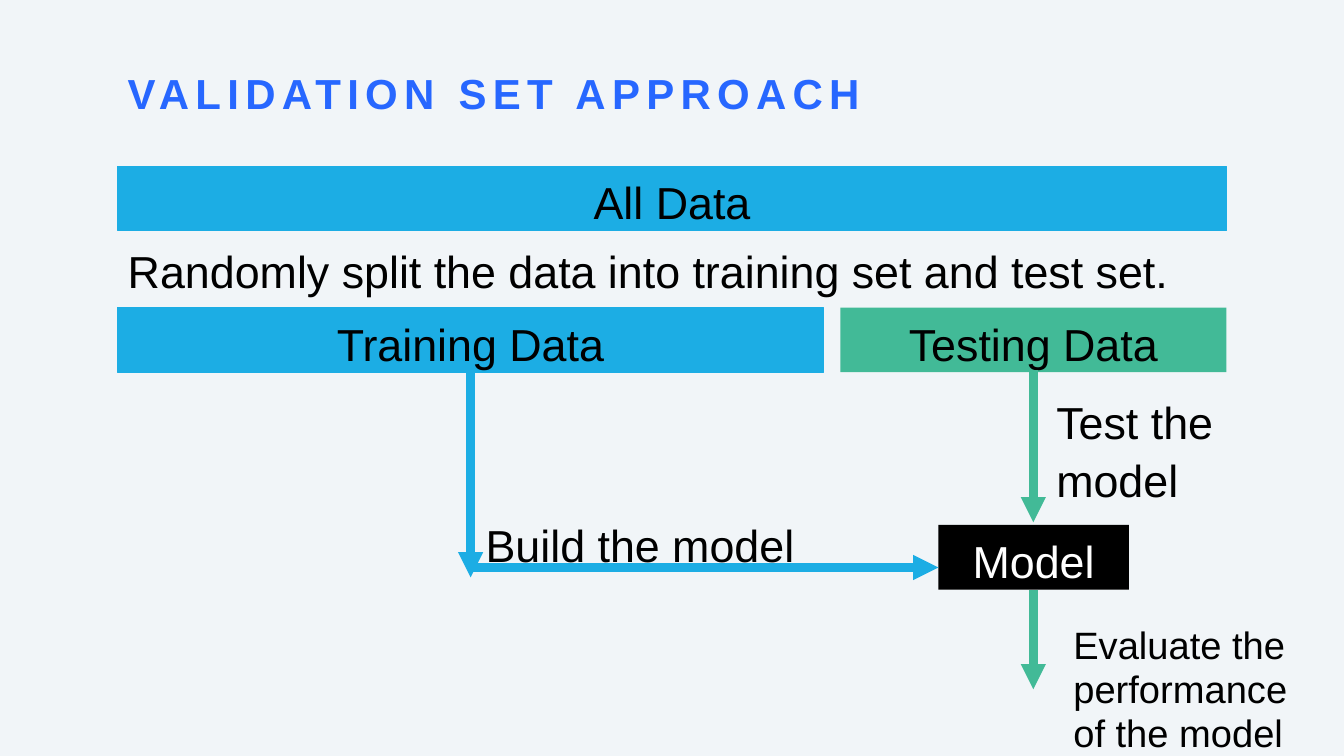
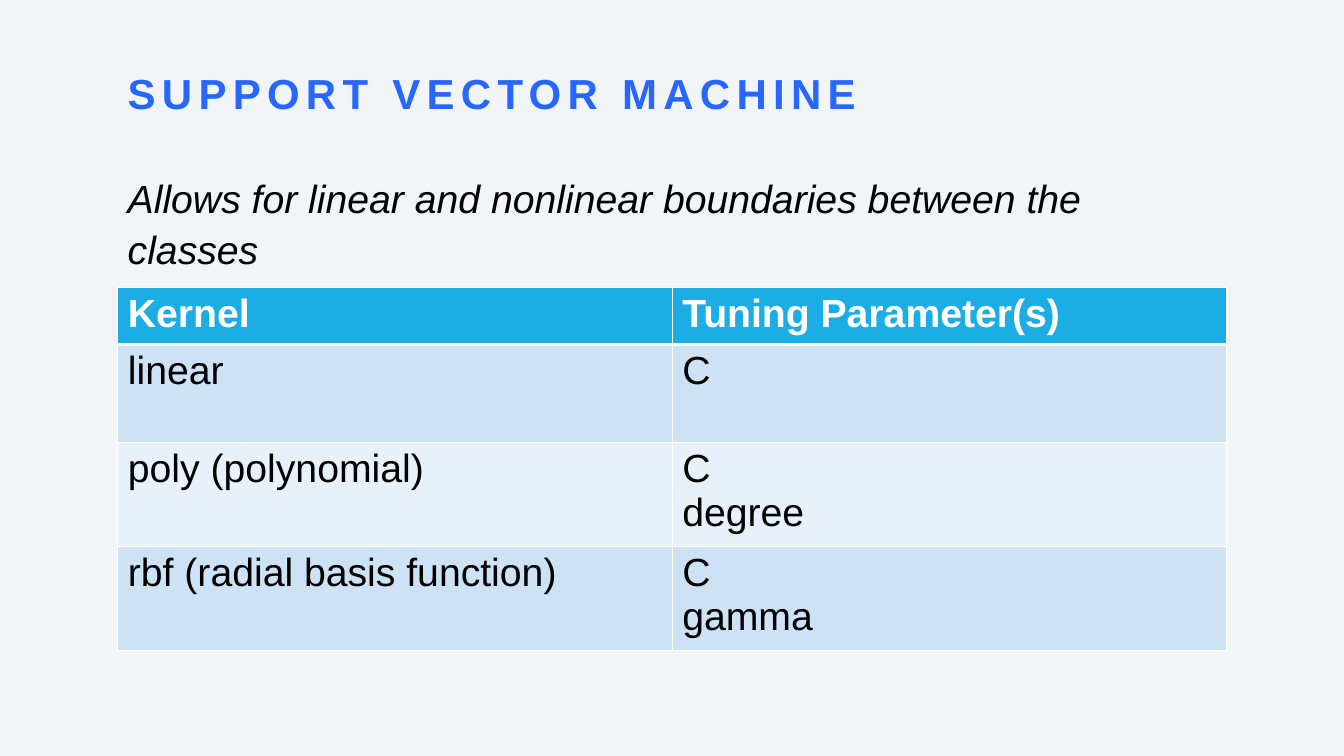
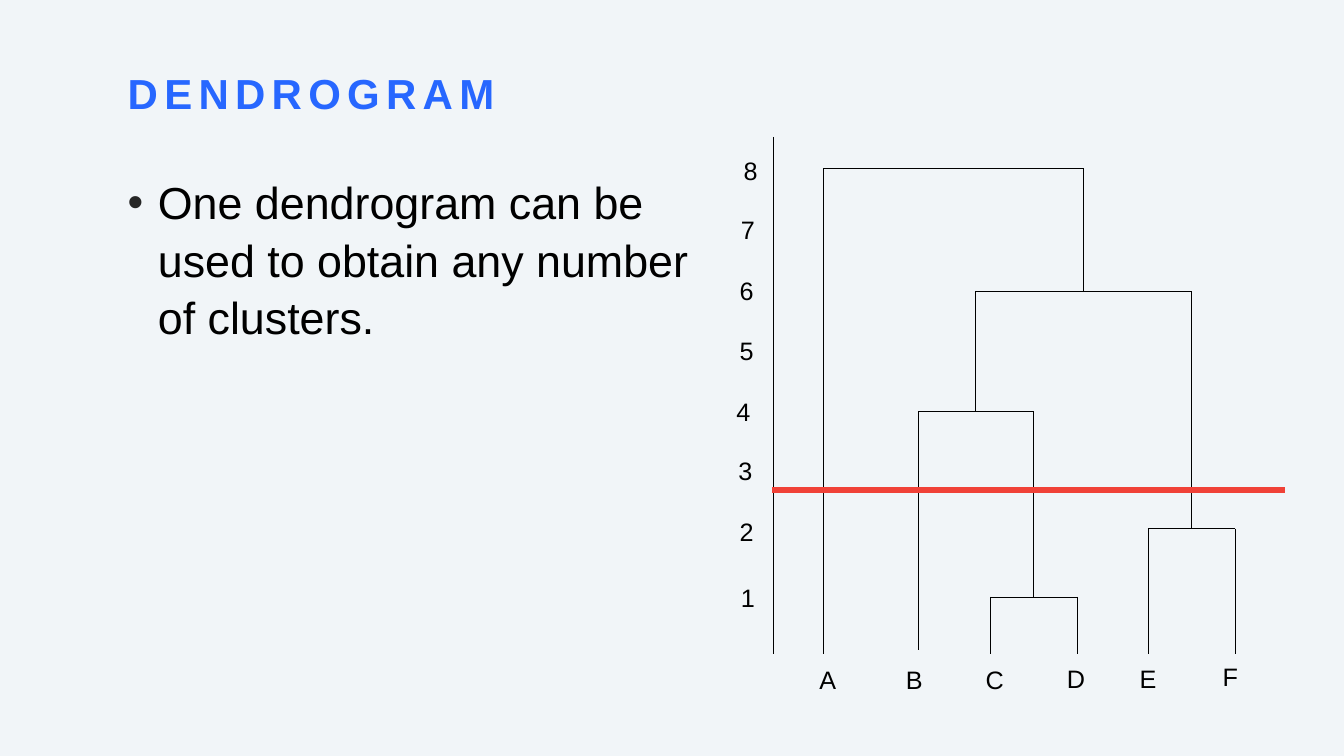
from lxml import etree
from pptx import Presentation
from pptx.dml.color import RGBColor
from pptx.enum.shapes import MSO_CONNECTOR, MSO_SHAPE
from pptx.enum.text import MSO_ANCHOR, PP_ALIGN
from pptx.oxml.ns import qn
from pptx.util import Cm, Pt

STRAIGHT = MSO_CONNECTOR.STRAIGHT
RECTANGLE = MSO_SHAPE.RECTANGLE
TOP, MIDDLE = MSO_ANCHOR.TOP, MSO_ANCHOR.MIDDLE
LEFT, CENTER = PP_ALIGN.LEFT, PP_ALIGN.CENTER

BACKGROUND, TITLE = "F1F5F8", "2767FF"
BLUE, GREEN, RED = "1CADE4", "42BA97", "F04137"
BLACK, WHITE, BULLET = "000000", "FFFFFF", "262626"
BAND_DARK, BAND_LIGHT = "CDE3F5", "E8F1FA"

MARGIN, CONTENT_WIDTH, CONTENT_TOP = 2.97, 27.94, 4.19
BOX_HEIGHT = 1.63


def color(value):
    return RGBColor.from_string(value)


def child(parent, tag, **attributes):
    return etree.SubElement(parent, qn(tag), **attributes)


class Deck:
    font = "Arial"
    line_spacing = 1.07
    tight_spacing = 0.96

    def __init__(self):
        self.presentation = Presentation()
        self.presentation.slide_width = Cm(33.87)
        self.presentation.slide_height = Cm(19.05)
        self.slide = None

    def new_slide(self, title):
        self.slide = self.presentation.slides.add_slide(self.presentation.slide_layouts[6])
        fill = self.slide.background.fill
        fill.solid()
        fill.fore_color.rgb = color(BACKGROUND)
        paragraph = self.text(title, MARGIN, 1.78, 25.1, 1.24, size=30, ink=TITLE, bold=True,
                              spacing=self.tight_spacing, anchor=MIDDLE)
        paragraph.runs[0].font._element.set("spc", "450")

    def run(self, paragraph, text, size, ink, bold=False, italic=False):
        run = paragraph.add_run()
        run.text = text
        run.font.name = self.font
        run.font.size = Pt(size)
        run.font.bold = bold
        run.font.italic = italic
        run.font.color.rgb = color(ink)

    def text(self, text, left, top, width, height, size=32, ink=BLACK, bold=False,
             italic=False, spacing=line_spacing, before=0, anchor=TOP):
        shape = self.slide.shapes.add_textbox(Cm(left), Cm(top), Cm(width), Cm(height))
        frame = shape.text_frame
        frame.word_wrap = True
        frame.vertical_anchor = anchor
        paragraph = frame.paragraphs[0]
        paragraph.alignment = LEFT
        paragraph.line_spacing = spacing
        paragraph.space_before = Pt(before)
        self.run(paragraph, text, size, ink, bold, italic)
        return paragraph

    def bullet(self, text, left, top, width, height):
        paragraph = self.text(text, left, top, width, height, before=10)
        properties = paragraph._p.get_or_add_pPr()
        indent = Cm(0.76)
        properties.set("marL", str(indent))
        properties.set("indent", str(-indent))
        child(child(properties, "a:buClr"), "a:srgbClr", val=BULLET)
        child(properties, "a:buFont", typeface=self.font)
        child(properties, "a:buChar", char="•")

    def box(self, text, left, top, width, fill, ink=BLACK, outlined=False):
        shape = self.slide.shapes.add_shape(RECTANGLE, Cm(left), Cm(top), Cm(width), Cm(BOX_HEIGHT))
        shape.shadow.inherit = False
        shape.fill.solid()
        shape.fill.fore_color.rgb = color(fill)
        if outlined:
            shape.line.color.rgb = color(fill)
            shape.line.width = Pt(0.75)
        else:
            shape.line.fill.background()
        frame = shape.text_frame
        frame.word_wrap = True
        frame.vertical_anchor = TOP
        paragraph = frame.paragraphs[0]
        paragraph.alignment = CENTER
        paragraph.line_spacing = self.line_spacing
        self.run(paragraph, text, 32, ink)

    def line(self, x1, y1, x2, y2, ink=BLACK, width=0.5, arrow=False):
        connector = self.slide.shapes.add_connector(STRAIGHT, Cm(x1), Cm(y1), Cm(x2), Cm(y2))
        connector.line.color.rgb = color(ink)
        connector.line.width = Pt(width)
        if arrow:
            child(connector.line._get_or_add_ln(), "a:tailEnd", type="triangle")
        child(connector._element.spPr, "a:effectLst")

    def arrow(self, x1, y1, x2, y2, ink):
        self.line(x1, y1, x2, y2, ink, width=6, arrow=True)

    def border(self, cell, side, width):
        line = child(cell._tc.get_or_add_tcPr(), f"a:ln{side}", w=str(Pt(width)))
        child(child(line, "a:solidFill"), "a:srgbClr", val=WHITE)

    def table(self, rows, left, top, width, heights):
        table = self.slide.shapes.add_table(len(rows), len(rows[0]), Cm(left), Cm(top),
                                            Cm(width), Cm(sum(heights))).table
        for column in table.columns:
            column.width = Cm(width / len(rows[0]))
        for row_index, (values, height) in enumerate(zip(rows, heights)):
            table.rows[row_index].height = Cm(height)
            header = row_index == 0
            band = BLUE if header else (BAND_LIGHT, BAND_DARK)[row_index % 2]
            for column_index, lines in enumerate(values):
                cell = table.cell(row_index, column_index)
                for side in "LRTB":
                    below_header = (row_index, side) in ((0, "B"), (1, "T"))
                    self.border(cell, side, 3 if below_header else 1)
                cell.fill.solid()
                cell.fill.fore_color.rgb = color(band)
                frame = cell.text_frame
                for index, text in enumerate(lines):
                    paragraph = frame.add_paragraph() if index else frame.paragraphs[0]
                    self.run(paragraph, text, 28, WHITE if header else BLACK, bold=header)

    def merge(self, left, right, top, left_bottom, right_bottom):
        self.line(left, top, right, top)
        self.line(left, top, left, left_bottom)
        self.line(right, top, right, right_bottom)


def validation_slide(deck):
    deck.new_slide("VALIDATION SET APPROACH")
    split_top, model_top = 7.75, 13.23
    training_x, testing_x, build_y = 11.86, 26.04, 14.3
    deck.text("Build the model", 11.99, 12.83, 9.09, 1.73, before=10)
    deck.box("All Data", MARGIN, CONTENT_TOP, CONTENT_WIDTH, BLUE, outlined=True)
    deck.box("Training Data", MARGIN, split_top, 17.78, BLUE, outlined=True)
    deck.box("Testing Data", 21.18, split_top, 9.73, GREEN)
    deck.arrow(training_x, 9.37, training_x, 14.55, BLUE)
    deck.box("Model", 23.65, model_top, 4.8, BLACK, ink=WHITE)
    deck.arrow(training_x, build_y, 23.65, build_y, BLUE)
    deck.text("Test the model", 26.37, 9.73, 6.05, 4.88, before=10)
    deck.arrow(testing_x, 9.32, testing_x, 13.16, GREEN)
    deck.arrow(testing_x, model_top + BOX_HEIGHT, testing_x, 17.37, GREEN)
    deck.text("Evaluate the performance of the model", 26.8, 15.62, 6.05, 4.14,
              size=27.2, spacing=deck.tight_spacing, before=10)
    deck.text("Randomly split the data into training set and test set.",
              MARGIN, 5.92, CONTENT_WIDTH, 1.73, before=10)


def kernel_slide(deck):
    deck.new_slide("SUPPORT VECTOR MACHINE")
    deck.text("Allows for linear and nonlinear boundaries between the classes",
              MARGIN, CONTENT_TOP, CONTENT_WIDTH, 12.7, size=28, italic=True, before=10)
    rows = [
        (["Kernel"], ["Tuning Parameter(s)"]),
        (["linear"], ["C"]),
        (["poly (polynomial)"], ["C", "degree"]),
        (["rbf (radial basis function)"], ["C", "gamma"]),
    ]
    deck.table(rows, MARGIN, 7.24, CONTENT_WIDTH, [1.36] + [2.46] * 3)


def dendrogram_slide(deck):
    deck.new_slide("DENDROGRAM")
    deck.bullet("One dendrogram can be used to obtain any number of clusters.",
                MARGIN, CONTENT_TOP, 15.54, 12.7)
    labels = [
        ("A", 20.4, 16.56), ("B", 22.58, 16.56), ("C", 24.59, 16.56),
        ("D", 26.64, 16.54), ("E", 28.47, 16.54), ("F", 30.56, 16.48),
        ("1", 18.42, 14.5), ("2", 18.39, 12.83), ("3", 18.36, 11.3), ("4", 18.31, 9.8),
        ("5", 18.39, 8.28), ("6", 18.39, 6.76), ("7", 18.42, 5.23), ("8", 18.49, 3.73),
    ]
    for label, left, top in labels:
        deck.text(label, left, top, 1.14, 1.02, size=18)
    deck.line(19.48, 3.45, 19.48, 16.48)
    level_8, level_6, level_4, level_2, level_1 = 4.24, 7.34, 10.36, 13.32, 15.04
    leaf = 16.48
    deck.merge(24.97, 27.15, level_1, leaf, leaf)
    deck.merge(28.93, 31.12, level_2, leaf, leaf)
    deck.merge(23.14, 26.04, level_4, 16.38, level_1)
    deck.merge(24.59, 30.02, level_6, level_4, level_2)
    deck.merge(20.75, 27.3, level_8, leaf, level_6)
    deck.line(19.46, 12.34, 32.39, 12.34, RED, width=4.5)


def main():
    deck = Deck()
    validation_slide(deck)
    kernel_slide(deck)
    dendrogram_slide(deck)
    deck.presentation.save("out.pptx")


if __name__ == "__main__":
    main()
